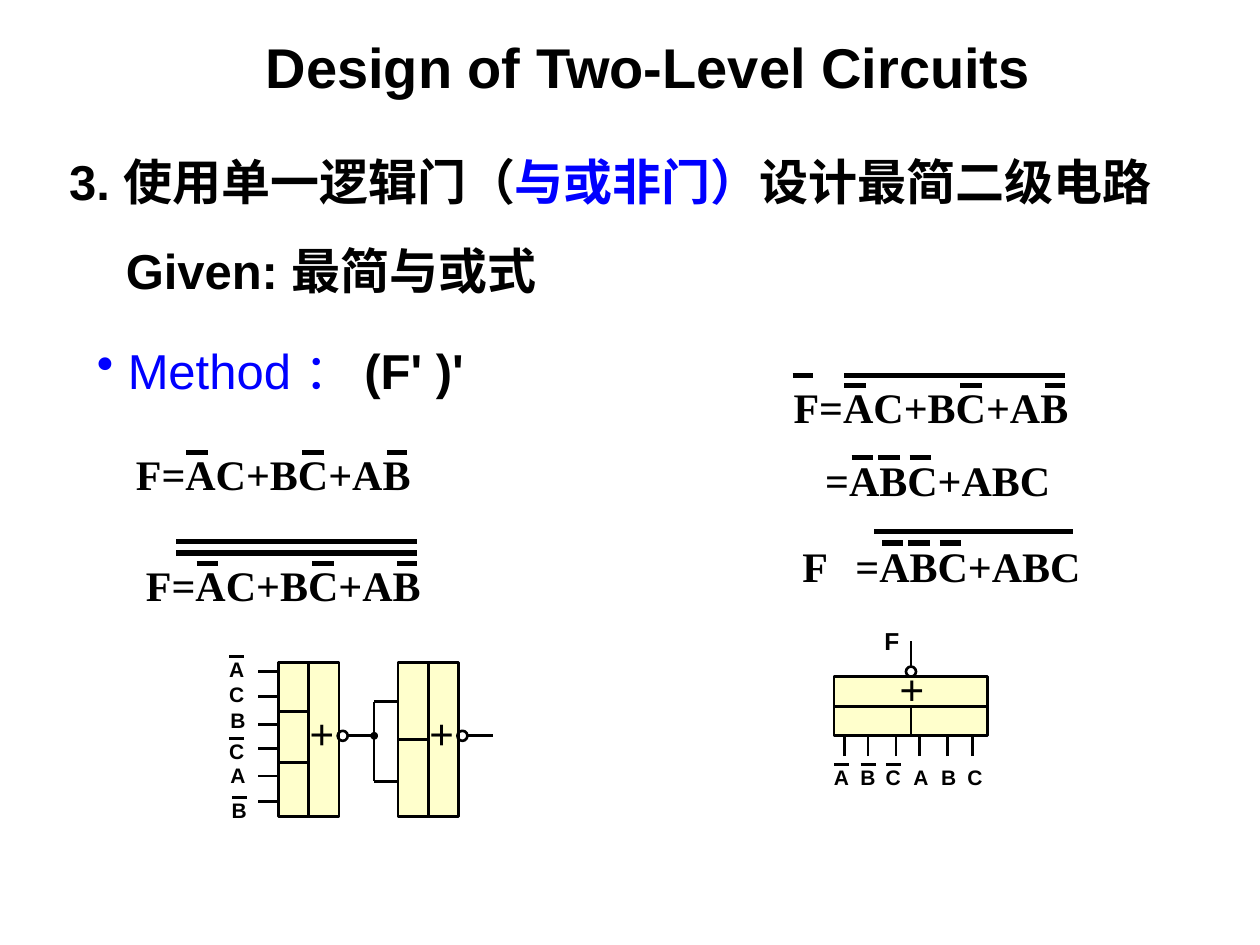
from lxml.etree import SubElement
from pptx import Presentation
from pptx.dml.color import RGBColor
from pptx.enum.shapes import MSO_CONNECTOR, MSO_SHAPE
from pptx.enum.text import MSO_AUTO_SIZE
from pptx.oxml.ns import qn
from pptx.util import Inches, Pt

THEME = {
    "black": RGBColor(0, 0, 0), "blue": RGBColor(0, 0, 255), "gate": RGBColor(255, 255, 204),
    "sans": "Arial", "serif": "Times New Roman",
    "title": 32, "body": 28, "formula": 24, "output": 14, "label": 12,
    "overbar": 3, "wire": 1.5,
}

TITLE = [("Design of Two-Level Circuits", "black", True)]
TASK = [("3. 使用单一逻辑门（", "black", True), ("与或非门）", "blue", True),
        ("设计最简二级电路", "black", True)]
GIVEN = [("Given: 最简与或式", "black", True)]
METHOD = [(" Method ： ", "blue", False), ("(F' )'", "black", True)]

SUM_BARS = (0.08, [(0.5, 0.17), (1.42, 0.17), (2.09, 0.16)])
PRODUCT_BARS = (0.07, [(0.31, 0.17), (0.52, 0.17), (0.77, 0.17)])
NO_BARS = (0, [])
FORMULAS = [
    ("F=AC+BC+AB", 0.98, 3.51, 2.42, SUM_BARS),
    ("F=AC+BC+AB", 1.06, 4.39, 2.42, SUM_BARS),
    ("F=AC+BC+AB", 6.2, 2.98, 2.42, SUM_BARS),
    ("=ABC+ABC", 6.45, 3.56, 2.25, PRODUCT_BARS),
    ("F", 6.27, 4.24, 0.75, NO_BARS),
    ("=ABC+ABC", 6.69, 4.24, 2.25, PRODUCT_BARS),
]
LONG_BARS = [(1.4, 3.31, 4.3), (1.4, 3.31, 4.39), (6.29, 6.45, 2.98),
             (6.7, 8.45, 2.98), (6.94, 8.52, 4.22)]

INPUT_LABELS = [
    ("A", True, 1.72, 5.16), ("C", False, 1.72, 5.36), ("B", False, 1.73, 5.57),
    ("C", True, 1.72, 5.81), ("A", False, 1.73, 6), ("B", True, 1.74, 6.28),
    ("A", True, 6.52, 6.02), ("B", True, 6.73, 6.02), ("C", True, 6.93, 6.02),
    ("A", False, 7.15, 6.02), ("B", False, 7.37, 6.02), ("C", False, 7.58, 6.02),
]
LEFT_INPUTS = [5.33, 5.53, 5.75, 5.94, 6.16, 6.36]
RIGHT_INPUTS = [6.7, 6.89, 7.11, 7.3, 7.52, 7.72]
SHORT, LONG, BUBBLE, DOT = 0.24, 1.22, 0.08, 0.04
GATE_TOP, WIRE_Y, FIRST_GATE, SECOND_GATE, JUNCTION = 5.26, 5.84, 2.21, 3.16, 2.97
FEEDS = [5.57, 6.2]

prs = Presentation()
prs.slide_width, prs.slide_height = Inches(10), Inches(7.5)
slide = prs.slides.add_slide(prs.slide_layouts[6])


def add_text(runs, left, top, width, height, *, size, font="sans", wrap=True,
             bullet=None, rotation=0):
    box = slide.shapes.add_textbox(Inches(left), Inches(top), Inches(width), Inches(height))
    box.rotation = rotation
    frame = box.text_frame
    frame.word_wrap = wrap
    frame.auto_size = MSO_AUTO_SIZE.SHAPE_TO_FIT_TEXT
    paragraph = frame.paragraphs[0]
    if bullet:
        props = paragraph._p.get_or_add_pPr()
        colour = SubElement(SubElement(props, qn("a:buClr")), qn("a:srgbClr"))
        colour.set("val", str(THEME["blue"]))
        SubElement(props, qn("a:buChar")).set("char", bullet)
    for words, colour, bold in runs:
        run = paragraph.add_run()
        run.text = words
        run.font.name, run.font.size = THEME[font], Pt(THEME[size])
        run.font.bold, run.font.color.rgb = bold, THEME[colour]


def add_line(x1, y1, x2, y2, weight="wire"):
    line = slide.shapes.add_connector(
        MSO_CONNECTOR.STRAIGHT, Inches(x1), Inches(y1), Inches(x2), Inches(y2))
    line.line.color.rgb, line.line.width = THEME["black"], Pt(THEME[weight])
    SubElement(line._element.spPr, qn("a:effectLst"))
    return line


def add_part(kind, left, top, width, height, fill=None):
    part = slide.shapes.add_shape(
        kind, Inches(left), Inches(top), Inches(width), Inches(height))
    part.shadow.inherit = False
    part.line.color.rgb, part.line.width = THEME["black"], Pt(THEME["wire"])
    if fill:
        part.fill.solid()
        part.fill.fore_color.rgb = THEME[fill]
    else:
        part.fill.background()
    return part


def add_divider(part, start, end):
    divider = add_line(0, 0, 0, 0)
    divider.begin_connect(part, start)
    divider.end_connect(part, end)


def add_upright_gate(left):
    """Draw an AND column, an OR column and the inverting bubble."""
    inputs = add_part(MSO_SHAPE.RECTANGLE, left, GATE_TOP, SHORT, LONG, "gate")
    add_part(MSO_SHAPE.RECTANGLE, left + SHORT, GATE_TOP, SHORT, LONG, "gate")
    add_text([("+", "black", False)], left + 0.15, 5.57, 0.31, 0.5, size="formula")
    bubble_left = left + 2 * SHORT - 0.01
    add_part(MSO_SHAPE.OVAL, bubble_left, WIRE_Y - BUBBLE / 2, BUBBLE, BUBBLE)
    add_line(bubble_left + BUBBLE, WIRE_Y, bubble_left + BUBBLE + 0.2, WIRE_Y)
    return inputs


add_text(TITLE, 2.01, 0.21, 6.38, 0.64, size="title")
add_text(TASK, 0.45, 1.15, 8.88, 0.57, size="body", wrap=False)
add_text(GIVEN, 0.9, 1.86, 5.04, 0.57, size="body")
add_text(METHOD, 0.67, 2.65, 3.62, 0.57, size="body", bullet="•")

for formula, left, top, width, (drop, bars) in FORMULAS:
    add_text([(formula, "black", True)], left, top, width, 0.5, size="formula", font="serif")
    for offset, length in bars:
        add_line(left + offset, top + drop, left + offset + length, top + drop, "overbar")
for start, end, y in LONG_BARS:
    add_line(start, y, end, y, "overbar")

add_upright_gate(FIRST_GATE)
for third in (1, 2):
    y = GATE_TOP + LONG * third / 3 - 0.02
    add_line(FIRST_GATE, y, FIRST_GATE + SHORT, y)
for y in LEFT_INPUTS:
    add_line(FIRST_GATE - 0.16, y, FIRST_GATE, y)

add_divider(add_upright_gate(SECOND_GATE), 1, 3)
add_line(JUNCTION, FEEDS[0], JUNCTION, FEEDS[1])
for y in FEEDS:
    add_line(JUNCTION, y, SECOND_GATE, y)
add_part(MSO_SHAPE.OVAL, JUNCTION - DOT / 2, WIRE_Y - DOT / 2, DOT, DOT, "black")

and_row = add_part(MSO_SHAPE.RECTANGLE, 6.62, 5.6, LONG, SHORT, "gate")
add_divider(and_row, 2, 0)
add_part(MSO_SHAPE.RECTANGLE, 6.62, 5.37, LONG, SHORT, "gate")
add_text([("+", "black", False)], 7.06, 5.28, 0.31, 0.5, size="formula", rotation=270)
add_part(MSO_SHAPE.OVAL, 7.19, 5.29, BUBBLE, BUBBLE)
add_line(7.23, 5.29, 7.23, 5.09)
add_text([("F", "black", True)], 6.92, 4.92, 0.39, 0.34, size="output")
for x in RIGHT_INPUTS:
    add_line(x, 6, x, WIRE_Y)

for letter, negated, left, top in INPUT_LABELS:
    add_text([(letter, "black", True)], left, top, 0.39, 0.3, size="label")
    if negated:
        add_line(left + 0.1, top + 0.05, left + 0.22, top + 0.05)

prs.save("out.pptx")
